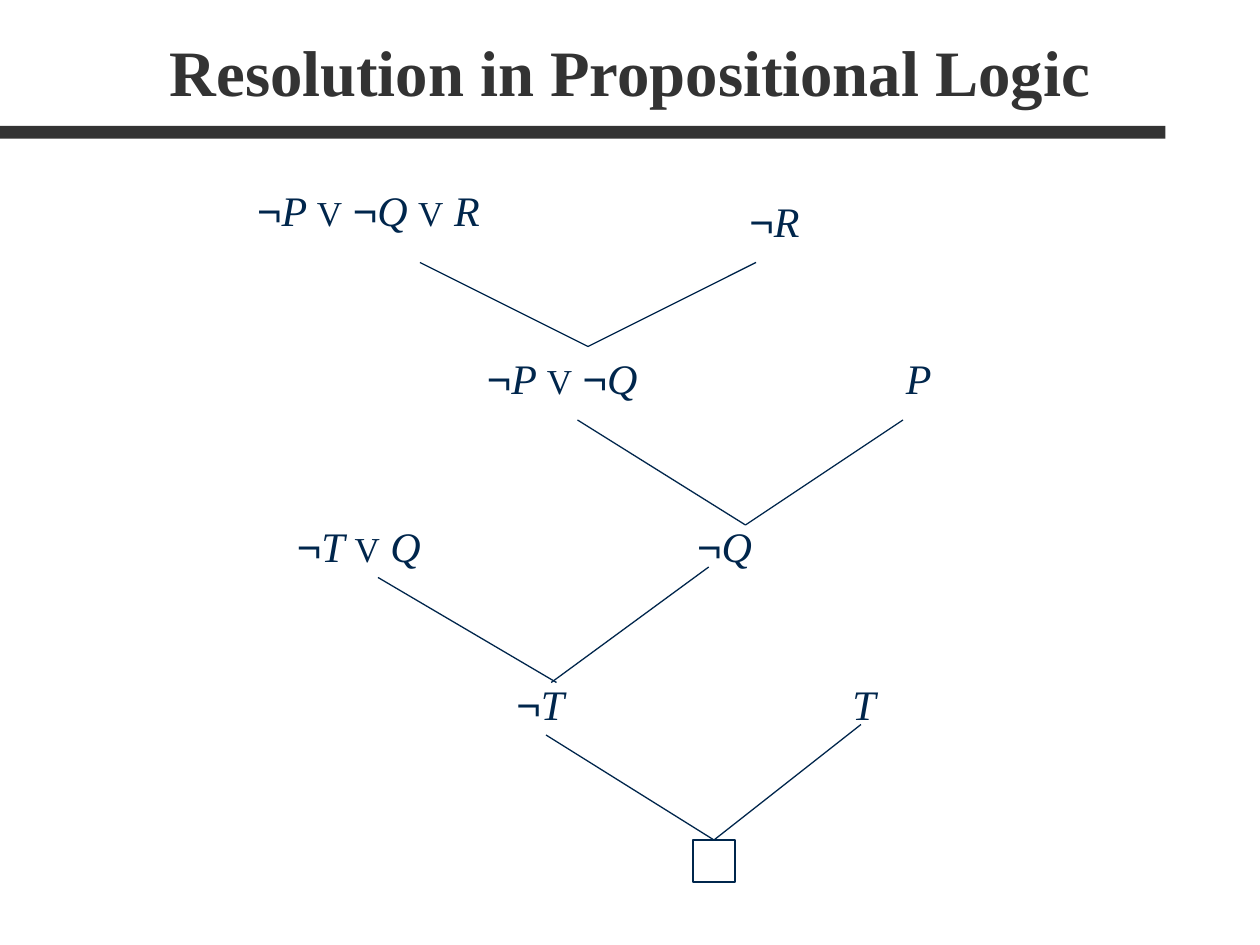
"""Build a slide that shows a resolution proof tree in propositional logic."""
from dataclasses import dataclass

from lxml import etree
from pptx import Presentation
from pptx.dml.color import RGBColor
from pptx.enum.shapes import MSO_CONNECTOR, MSO_SHAPE
from pptx.enum.text import MSO_ANCHOR, MSO_AUTO_SIZE, PP_ALIGN
from pptx.oxml.ns import qn
from pptx.util import Inches, Pt

RECTANGLE = MSO_SHAPE.RECTANGLE
STRAIGHT = MSO_CONNECTOR.STRAIGHT
BOTTOM, CENTER = MSO_ANCHOR.BOTTOM, PP_ALIGN.CENTER
FIT_SHAPE, NO_FIT = MSO_AUTO_SIZE.SHAPE_TO_FIT_TEXT, MSO_AUTO_SIZE.NONE
TITLE_ONLY = 5
TOP_SIDE = 0
CELL = Inches(1) / 12
COLUMNS, ROWS = 120, 90
CLAUSE_HEIGHT = 6


@dataclass(frozen=True)
class Theme:
    """Colours, fonts and sizes of the slide."""
    heading: RGBColor = RGBColor(0x33, 0x33, 0x33)
    ink: RGBColor = RGBColor(0x00, 0x26, 0x4C)
    serif: str = "Times New Roman"
    sans: str = "Arial"
    title_size: int = Pt(37)
    clause_size: int = Pt(24)
    or_size: int = Pt(20)
    line_width: int = Pt(0.75)


THEME = Theme()
TITLE_FONT = {"name": THEME.serif, "size": THEME.title_size, "bold": True}
PLAIN = {"name": THEME.serif, "size": THEME.clause_size, "italic": False}
ATOM = {**PLAIN, "italic": True}
NEGATION = {**PLAIN, "name": THEME.sans}
OR = {**PLAIN, "size": THEME.or_size}

CLAUSES = [
    (("¬P", "¬Q", "R"), 23.3, 17, 24.1, False),
    (("¬R",), 70.2, 18, 7.4, False),
    (("¬P", "¬Q"), 45.2, 33, 17.3, False),
    (("¬Q",), 65.2, 49, 7.8, False),
    (("P",), 85.1, 33, 4.8, False),
    (("¬T", "Q"), 27.1, 49, 14.5, False),
    (("¬T",), 48, 64, 7.6, True),
    (("T",), 80, 64, 4.6, False),
]
STEPS = [
    ((40, 25), (56, 33)), ((56, 33), (72, 25)),
    ((55, 40), (71, 50)), ((71, 50), (86, 40)),
    ((36, 55), (53, 65)), ((52.5, 65), (67.5, 54)),
]
EMPTY_CLAUSE = (66, 80, 4, 4)
LAST_LEFT = ((52, 70), (68, 80))
LAST_RIGHT = ((68, 80), (82, 69))


def grid(*cells):
    """Turn counts of grid cells into lengths."""
    return [round(cell * CELL) for cell in cells]


def apply(target, formats):
    """Set every format value on the target."""
    for key, value in formats.items():
        setattr(target, key, value)


def add_run(paragraph, text, formats, color):
    """Add one formatted run to a paragraph."""
    run = paragraph.add_run()
    run.text = text
    apply(run.font, formats)
    run.font.color.rgb = color


def set_title(slide, text):
    """Place and format the title."""
    title = slide.shapes.title
    apply(title, dict(zip(("left", "top", "width", "height"), grid(3.5, 2, 113, 9))))
    apply(title.text_frame, {"vertical_anchor": BOTTOM, "auto_size": NO_FIT})
    paragraph = title.text_frame.paragraphs[0]
    paragraph.alignment = CENTER
    add_run(paragraph, text, TITLE_FONT, THEME.heading)


def add_rule(slide):
    """Draw the bar under the title."""
    rule = slide.shapes.add_shape(RECTANGLE, *grid(0, 12, 111, 1.2))
    rule.shadow.inherit = False
    rule.fill.solid()
    rule.fill.fore_color.rgb = THEME.heading
    rule.line.fill.background()


def add_clause(slide, literals, column, row, width, wrap):
    """Write a clause as literals joined by the or sign."""
    clause = slide.shapes.add_textbox(*grid(column, row, width, CLAUSE_HEIGHT))
    apply(clause.text_frame, {"word_wrap": wrap, "auto_size": FIT_SHAPE})
    paragraph = clause.text_frame.paragraphs[0]
    for position, literal in enumerate(literals, 1):
        more = position < len(literals)
        if literal.startswith("¬"):
            add_run(paragraph, "¬", NEGATION, THEME.ink)
        atom = literal.lstrip("¬")
        add_run(paragraph, f"{atom} " if more else atom, ATOM, THEME.ink)
        if more:
            add_run(paragraph, "V", OR, THEME.ink)
            add_run(paragraph, " ", PLAIN, THEME.ink)


def set_line(line):
    """Give an outline the colour and width of the tree."""
    line.color.rgb = THEME.ink
    line.width = THEME.line_width


def add_empty_clause(slide):
    """Draw the square that ends the proof."""
    square = slide.shapes.add_shape(RECTANGLE, *grid(*EMPTY_CLAUSE))
    square.shadow.inherit = False
    square.fill.background()
    set_line(square.line)
    return square


def add_branch(slide, start, end):
    """Draw one branch of the tree."""
    branch = slide.shapes.add_connector(STRAIGHT, *grid(*start, *end))
    set_line(branch.line)
    etree.SubElement(branch._element.spPr, qn("a:effectLst"))
    return branch


def main():
    """Build and save the slide."""
    deck = Presentation()
    deck.slide_width, deck.slide_height = grid(COLUMNS, ROWS)
    slide = deck.slides.add_slide(deck.slide_layouts[TITLE_ONLY])
    add_rule(slide)
    set_title(slide, "Resolution in Propositional Logic")
    for clause in CLAUSES:
        add_clause(slide, *clause)
    empty_clause = add_empty_clause(slide)
    for step in STEPS:
        add_branch(slide, *step)
    add_branch(slide, *LAST_LEFT).end_connect(empty_clause, TOP_SIDE)
    add_branch(slide, *LAST_RIGHT).begin_connect(empty_clause, TOP_SIDE)
    deck.save("out.pptx")


if __name__ == "__main__":
    main()
